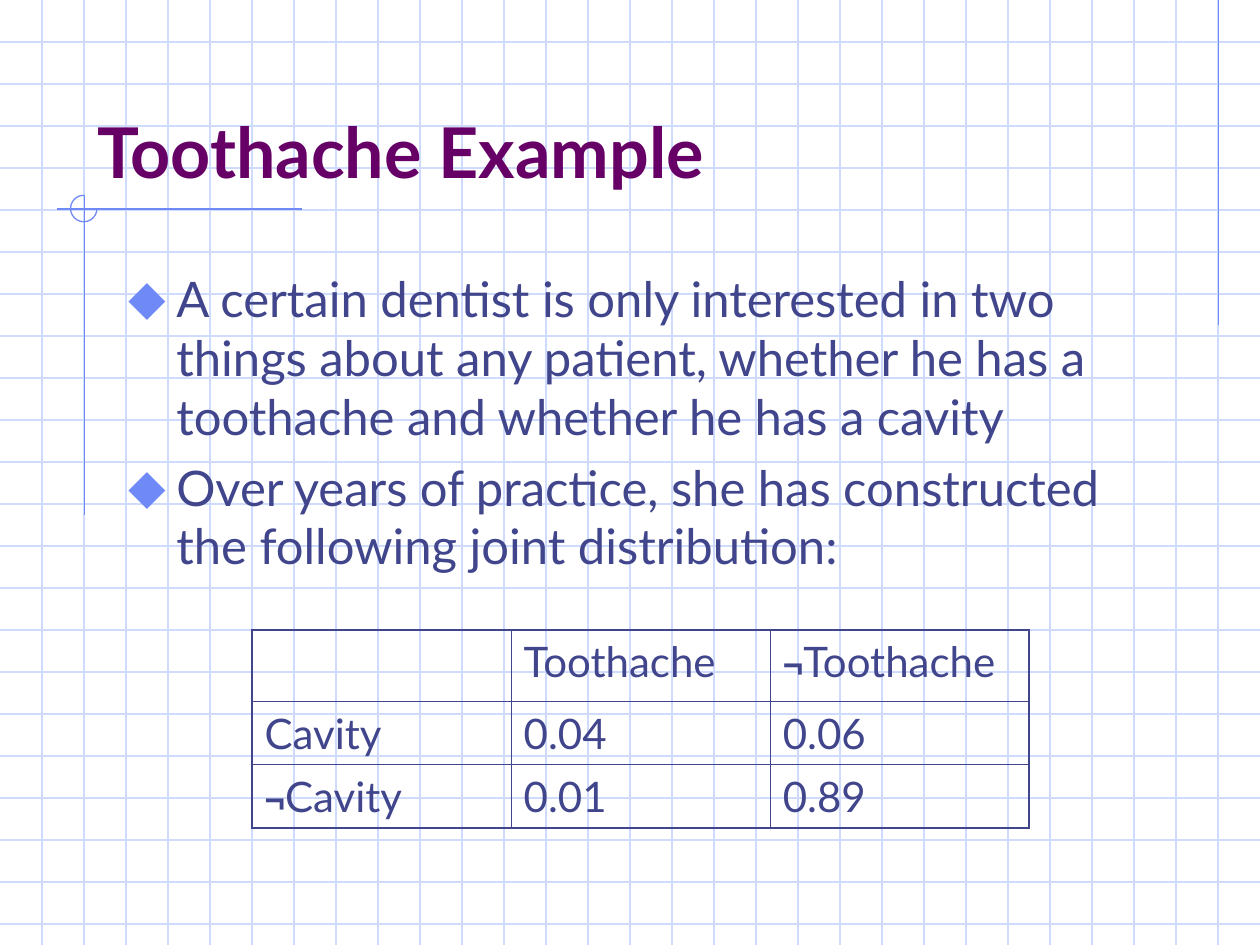
from typing import NamedTuple

from lxml import etree
from pptx import Presentation
from pptx.dml.color import RGBColor
from pptx.enum.shapes import MSO_CONNECTOR, MSO_SHAPE
from pptx.enum.text import MSO_ANCHOR, MSO_AUTO_SIZE, PP_ALIGN
from pptx.oxml.ns import qn
from pptx.util import Inches, Pt

STRAIGHT = MSO_CONNECTOR.STRAIGHT
ARC = MSO_SHAPE.ARC
LEFT = PP_ALIGN.LEFT
TOP, BOTTOM = MSO_ANCHOR.TOP, MSO_ANCHOR.BOTTOM
NO_AUTOFIT = MSO_AUTO_SIZE.NONE

GRID_BLUE = RGBColor(0xCF, 0xDB, 0xFD)
ACCENT_BLUE = RGBColor(0x6F, 0x89, 0xF7)
PURPLE = RGBColor(0x66, 0x00, 0x66)
INDIGO = RGBColor(0x40, 0x45, 0x8C)

WIDTH, HEIGHT = 10, 7.5
GRID_PER_INCH = 3
OUTER_BORDER, INNER_BORDER = Pt(1.08), Pt(0.45)

TITLE_FONT = {"name": "Lato", "size": Pt(40), "bold": True}
BODY_FONT = {"name": "Lato", "size": Pt(28), "bold": False}
CELL_FONT = {"name": "Lato", "size": Pt(24), "bold": False}
NEGATION_FONT = {"name": "Arial", "size": Pt(20), "bold": True}

POINTS = [
    "A certain dentist is only interested in two things about any patient, "
    "whether he has a toothache and whether he has a cavity",
    "Over years of practice, she has constructed the following joint distribution:",
]
JOINT_DISTRIBUTION = [
    ["", "Toothache", "¬Toothache"],
    ["Cavity", "0.04", "0.06"],
    ["¬Cavity", "0.01", "0.89"],
]
ROW_HEIGHTS = [0.57, 0.5, 0.5]


class Rule(NamedTuple):
    x1: float
    y1: float
    x2: float
    y2: float
    color: RGBColor


def draw_rule(slide, rule: Rule) -> None:
    ends = [Inches(length) for length in rule[:4]]
    connector = slide.shapes.add_connector(STRAIGHT, *ends)
    connector.line.color.rgb = rule.color
    connector.line.width = Pt(0.75)
    etree.SubElement(connector._element.spPr, qn("a:effectLst"))


def add_run(paragraph, text: str, font_values: dict, color: RGBColor) -> None:
    run = paragraph.add_run()
    run.text = text
    for attribute, value in font_values.items():
        setattr(run.font, attribute, value)
    run.font.color.rgb = color


def place(placeholder, left: float, top: float, width: float, height: float, anchor) -> None:
    """Position a placeholder and bring it in front of the grid."""
    placeholder.left, placeholder.top = Inches(left), Inches(top)
    placeholder.width, placeholder.height = Inches(width), Inches(height)
    frame = placeholder.text_frame
    for attribute, value in {"word_wrap": True, "auto_size": NO_AUTOFIT,
                             "vertical_anchor": anchor}.items():
        setattr(frame, attribute, value)
    tree = placeholder._element.getparent()
    tree.append(placeholder._element)


def add_bullet(paragraph) -> None:
    properties = paragraph._p.get_or_add_pPr()
    properties.set("marL", str(Inches(0.38)))
    properties.set("indent", str(-Inches(0.38)))
    bullet_color = etree.SubElement(properties, qn("a:buClr"))
    etree.SubElement(bullet_color, qn("a:srgbClr"), val=str(ACCENT_BLUE))
    etree.SubElement(properties, qn("a:buSzPct"), val="110000")
    etree.SubElement(properties, qn("a:buChar"), char="⬥")


def set_borders(cell, widths: dict[str, int]) -> None:
    properties = cell._tc.get_or_add_tcPr()
    for position, (side, width) in enumerate(widths.items()):
        border = etree.Element(qn(f"a:ln{side}"), w=str(width))
        fill = etree.SubElement(border, qn("a:solidFill"))
        etree.SubElement(fill, qn("a:srgbClr"), val=str(INDIGO))
        properties.insert(position, border)


def draw_background(slide) -> None:
    # Graph paper
    for step in range(1, int(HEIGHT * GRID_PER_INCH) + 1):
        y = step / GRID_PER_INCH
        draw_rule(slide, Rule(0, y, WIDTH, y, GRID_BLUE))
    for step in range(1, WIDTH * GRID_PER_INCH):
        x = step / GRID_PER_INCH
        draw_rule(slide, Rule(x, 0, x, HEIGHT, GRID_BLUE))

    # Accent rules and the three-quarter circle where two of them cross
    for rule in (Rule(9.67, 0, 9.67, 2.58, ACCENT_BLUE),
                 Rule(2.4, 1.66, 0.45, 1.66, ACCENT_BLUE),
                 Rule(0.67, 1.55, 0.67, 4.09, ACCENT_BLUE)):
        draw_rule(slide, rule)
    crossing = slide.shapes.add_shape(ARC, Inches(0.56), Inches(1.55), Inches(0.21), Inches(0.21))
    crossing.adjustments[0] = 0
    crossing.adjustments[1] = 162  # 270 degrees
    crossing.shadow.inherit = False
    crossing.fill.background()
    crossing.line.color.rgb = ACCENT_BLUE
    crossing.line.width = Pt(0.75)


def draw_distribution(slide) -> None:
    size = len(JOINT_DISTRIBUTION)
    table = slide.shapes.add_table(size, size, Inches(2), Inches(5), Inches(6.17),
                                   Inches(sum(ROW_HEIGHTS))).table
    table.first_row = table.horz_banding = False
    for row, height in zip(table.rows, ROW_HEIGHTS):
        row.height = Inches(height)

    last = size - 1
    for r, values in enumerate(JOINT_DISTRIBUTION):
        for c, value in enumerate(values):
            cell = table.cell(r, c)
            cell.fill.background()
            outer = {"L": c == 0, "R": c == last, "T": r == 0, "B": r == last}
            set_borders(cell, {side: OUTER_BORDER if edge else INNER_BORDER
                               for side, edge in outer.items()})
            paragraph = cell.text_frame.paragraphs[0]
            paragraph.space_before = Pt(6)
            if value.startswith("¬"):
                add_run(paragraph, "¬", NEGATION_FONT, INDIGO)
            if value:
                add_run(paragraph, value.removeprefix("¬"), CELL_FONT, INDIGO)


def main() -> None:
    presentation = Presentation()
    presentation.slide_width, presentation.slide_height = Inches(WIDTH), Inches(HEIGHT)
    slide = presentation.slides.add_slide(presentation.slide_layouts[1])
    draw_background(slide)

    # Title
    title = slide.shapes.title
    place(title, 0.67, 0.33, 8.5, 1.25, BOTTOM)
    heading = title.text_frame.paragraphs[0]
    heading.alignment = LEFT
    add_run(heading, "Toothache Example", TITLE_FONT, PURPLE)

    # Bulleted story
    body = slide.placeholders[1]
    place(body, 0.92, 2.08, 8.5, 2.92, TOP)
    for index, point in enumerate(POINTS):
        frame = body.text_frame
        paragraph = frame.add_paragraph() if index else frame.paragraphs[0]
        paragraph.space_before = Pt(7)
        add_bullet(paragraph)
        add_run(paragraph, point, BODY_FONT, INDIGO)

    # Joint distribution table
    draw_distribution(slide)
    presentation.save("out.pptx")


if __name__ == "__main__":
    main()
